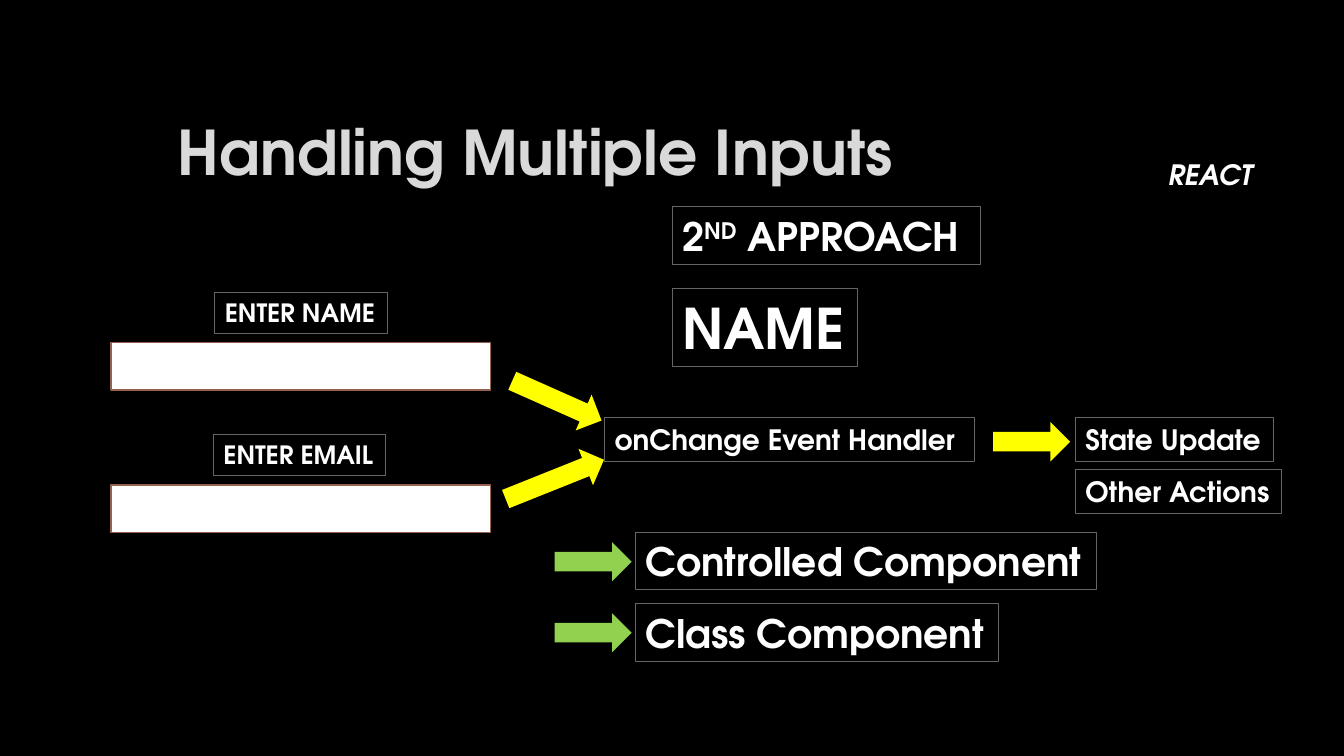
from dataclasses import dataclass

from pptx import Presentation
from pptx import util as u
from pptx.dml.color import RGBColor
from pptx.enum import shapes, text

BLACK = RGBColor(0x00, 0x00, 0x00)
WHITE = RGBColor(0xFF, 0xFF, 0xFF)
LIGHT_GREY = RGBColor(0xD9, 0xD9, 0xD9)
FRAME_GREY = RGBColor(0x69, 0x64, 0x64)
FIELD_BROWN = RGBColor(0x95, 0x62, 0x51)
YELLOW = RGBColor(0xFF, 0xFF, 0x00)
GREEN = RGBColor(0x92, 0xD0, 0x50)

FONT = "TeX Gyre Adventor"
BOX_HEIGHTS = {18: 29.1, 20: 31.5, 28: 41.2, 40: 55.7}
FIELD_LEFT, FIELD_WIDTH, FIELD_HEIGHT = 79.2, 271.4, 33.8
ARROW_WIDTH = 28


@dataclass(frozen=True)
class Label:
    words: tuple[str, ...]
    left: float
    top: float
    width: float
    size: int


@dataclass(frozen=True)
class Arrow:
    left: float
    top: float
    length: float
    rotation: float
    color: RGBColor


LABELS = [
    Label(("2", "ND", " APPROACH"), 480.2, 147.6, 220.4, 28),
    Label(("NAME",), 480.2, 206, 132, 40),
    Label(("ENTER NAME",), 153.5, 208.8, 123, 18),
    Label(("ENTER EMAIL",), 152.5, 310.3, 122.6, 18),
    Label(("onChange Event Handler",), 432, 298.1, 264.4, 20),
    Label(("State Update",), 768.2, 298.1, 141.4, 20),
    Label(("Other Actions",), 768.2, 335.5, 147, 20),
    Label(("Controlled Component",), 454, 380.2, 329.2, 28),
    Label(("Class Component",), 454, 431.1, 259.2, 28),
]
FIELD_TOPS = [244.8, 346.5]
ARROWS = [
    Arrow(383.8, 251.3, 69.8, 294, YELLOW),
    Arrow(382.3, 304.6, 75.6, 248.2, YELLOW),
    Arrow(722.9, 288, 55, 270, YELLOW),
    Arrow(409.7, 373.7, 55, 270, GREEN),
    Arrow(409.7, 424.4, 55, 270, GREEN),
]


def write(box, words: tuple[str, ...], anchor, wrap: bool, **font_format) -> None:
    """Fill a box with one left-aligned line; the second word is superscript."""
    frame = box.text_frame
    frame.word_wrap = wrap
    frame.vertical_anchor = anchor
    if not wrap:
        frame.auto_size = text.MSO_AUTO_SIZE.SHAPE_TO_FIT_TEXT
    para = frame.paragraphs[0]
    para.alignment = text.PP_ALIGN.LEFT
    color = font_format.pop("color", WHITE)
    for index, word in enumerate(words):
        span = para.add_run()
        span.text = word
        for name, value in {"name": FONT, "bold": True, **font_format}.items():
            setattr(span.font, name, value)
        span.font.color.rgb = color
        if index == 1:
            span.font._element.set("baseline", "30000")


def add_rectangle(page, left: float, top: float, width: float, height: float,
                  line_color: RGBColor, line_width: float):
    box = page.shapes.add_shape(shapes.MSO_SHAPE.RECTANGLE, u.Pt(left), u.Pt(top),
                                u.Pt(width), u.Pt(height))
    box.shadow.inherit = False
    box.line.color.rgb = line_color
    box.line.width = u.Pt(line_width)
    return box


def add_label(page, label: Label) -> None:
    box = add_rectangle(page, label.left, label.top, label.width,
                        BOX_HEIGHTS[label.size], FRAME_GREY, 0.75)
    box.fill.background()
    write(box, label.words, text.MSO_ANCHOR.MIDDLE, False, size=u.Pt(label.size))


def add_field(page, top: float) -> None:
    field = add_rectangle(page, FIELD_LEFT, top, FIELD_WIDTH, FIELD_HEIGHT, FIELD_BROWN, 1)
    field.fill.solid()
    field.fill.fore_color.rgb = WHITE


def add_arrow(page, arrow: Arrow) -> None:
    shape = page.shapes.add_shape(shapes.MSO_SHAPE.DOWN_ARROW, u.Pt(arrow.left),
                                  u.Pt(arrow.top), u.Pt(ARROW_WIDTH), u.Pt(arrow.length))
    shape.shadow.inherit = False
    shape.rotation = arrow.rotation
    shape.fill.solid()
    shape.fill.fore_color.rgb = arrow.color
    shape.line.fill.background()


def add_headings(page) -> None:
    topic = page.shapes.add_textbox(u.Pt(827.3), u.Pt(108.7), u.Pt(75.6), u.Pt(31.5))
    write(topic, ("REACT",), text.MSO_ANCHOR.MIDDLE, False, size=u.Pt(20), italic=True)
    title = page.shapes.add_textbox(u.Pt(120), u.Pt(30.2), u.Pt(720), u.Pt(108))
    write(title, ("Handling Multiple Inputs",), text.MSO_ANCHOR.BOTTOM, True,
          size=u.Pt(44), color=LIGHT_GREY)
    title.text_frame.paragraphs[0].line_spacing = 0.9


def main() -> None:
    deck = Presentation()
    deck.slide_width, deck.slide_height = u.Pt(960), u.Pt(540)
    page = deck.slides.add_slide(deck.slide_layouts[6])
    page.background.fill.solid()
    page.background.fill.fore_color.rgb = BLACK
    add_headings(page)
    for top in FIELD_TOPS:
        add_field(page, top)
    for label in LABELS:
        add_label(page, label)
    for arrow in ARROWS:
        add_arrow(page, arrow)
    deck.save("out.pptx")


if __name__ == "__main__":
    main()
